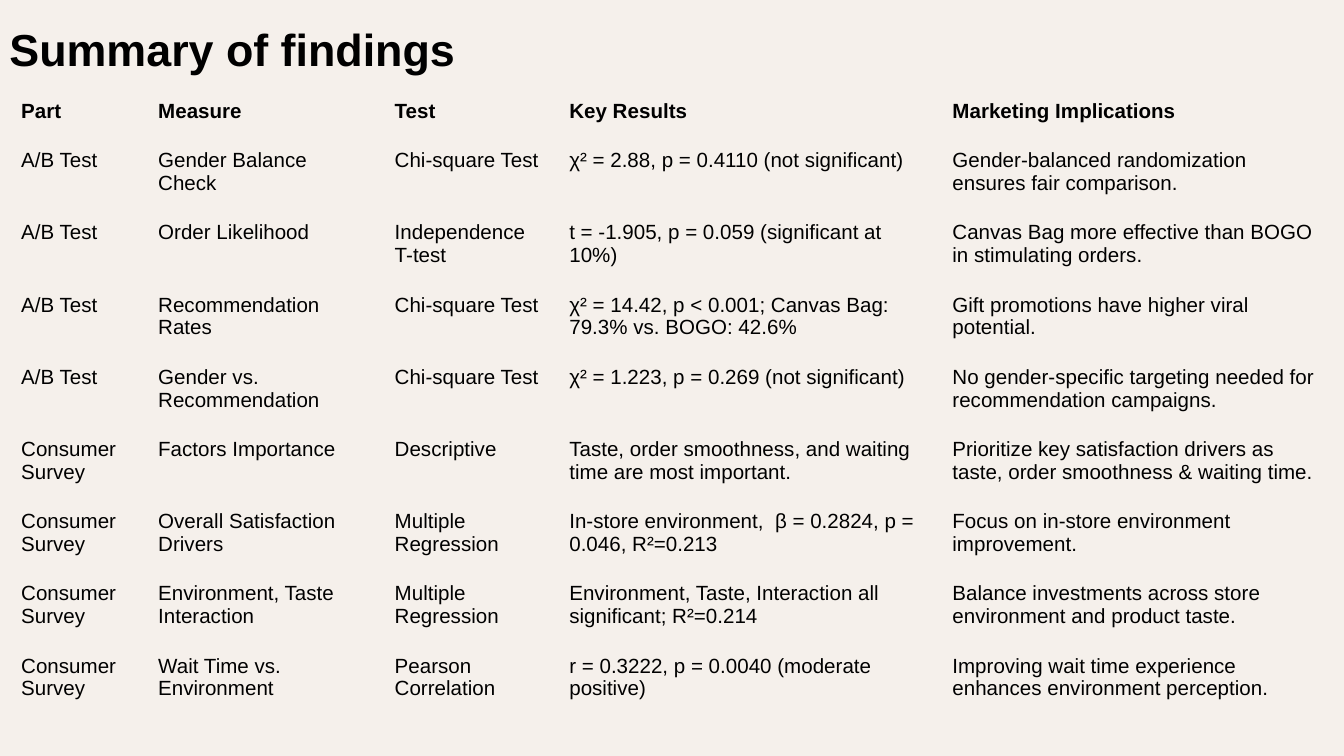
from pptx import Presentation, util as u
from pptx.dml import color
from pptx.enum import text

INK, PAPER = "000000", "F5F0EB"
NO_GRID = "{2D5ABB26-0587-4C30-8999-92F81FD0307C}"
COLUMN_WIDTHS = [2.59, 4.47, 3.3, 7.24, 7.49]
HEADER_HEIGHT, ROW_HEIGHT = 0.66, 1.24
FINDINGS = [
    ["Part", "Measure", "Test", "Key Results", "Marketing Implications"],
    ["A/B Test", "Gender Balance Check", "Chi-square Test",
     "χ² = 2.88, p = 0.4110 (not significant)",
     "Gender-balanced randomization ensures fair comparison."],
    ["A/B Test", "Order Likelihood", "Independence T-test",
     "t = -1.905, p = 0.059 (significant at 10%)",
     "Canvas Bag more effective than BOGO in stimulating orders."],
    ["A/B Test", "Recommendation Rates", "Chi-square Test",
     "χ² = 14.42, p < 0.001; Canvas Bag: 79.3% vs. BOGO: 42.6%",
     "Gift promotions have higher viral potential."],
    ["A/B Test", "Gender vs. Recommendation", "Chi-square Test",
     "χ² = 1.223, p = 0.269 (not significant)",
     "No gender-specific targeting needed for recommendation campaigns."],
    ["Consumer Survey", "Factors Importance", "Descriptive",
     "Taste, order smoothness, and waiting time are most important.",
     "Prioritize key satisfaction drivers as taste, order smoothness & waiting time."],
    ["Consumer Survey", "Overall Satisfaction Drivers", "Multiple Regression",
     "In-store environment,  β = 0.2824, p = 0.046, R²=0.213",
     "Focus on in-store environment improvement."],
    ["Consumer Survey", "Environment, Taste Interaction", "Multiple Regression",
     "Environment, Taste, Interaction all significant; R²=0.214",
     "Balance investments across store environment and product taste."],
    ["Consumer Survey", "Wait Time vs. Environment", "Pearson Correlation",
     "r = 0.3222, p = 0.0040 (moderate positive)",
     "Improving wait time experience enhances environment perception."],
]


def rgb(value):
    return color.RGBColor.from_string(value)


def assign(target, values):
    for name, value in values.items():
        setattr(target, name, value)


class SummarySlide:
    """Holds the text style and the current slide, and adds elements to it."""

    def __init__(self, deck, font="Arial"):
        self.font = font
        self.page = deck.slides.add_slide(deck.slide_layouts[6])
        fill = self.page.background.fill
        fill.solid()
        fill.fore_color.rgb = rgb(PAPER)

    def add_words(self, para, words, size, bold=False, spacing=1.0):
        para.line_spacing = spacing
        span = para.add_run()
        span.text = words
        assign(span.font, {"name": self.font, "size": u.Pt(size), "bold": bold})
        span.font.color.rgb = rgb(INK)

    def title(self, words, left, top, width, height):
        box = self.page.shapes.add_textbox(*map(u.Cm, (left, top, width, height)))
        assign(box.text_frame, {
            "word_wrap": True, "vertical_anchor": text.MSO_ANCHOR.MIDDLE,
            "margin_left": u.Cm(0.18), "margin_right": u.Cm(0.18),
            "margin_top": u.Cm(0.1), "margin_bottom": u.Cm(0.1)})
        self.add_words(box.text_frame.paragraphs[0], words, 24, True, 1.15)

    def table(self, rows, left, top, widths):
        heights = [HEADER_HEIGHT] + [ROW_HEIGHT] * (len(rows) - 1)
        frame = self.page.shapes.add_table(
            len(rows), len(widths), u.Cm(left), u.Cm(top),
            u.Cm(sum(widths)), u.Cm(sum(heights)))
        grid = frame.table
        assign(grid, {"first_row": False, "horz_banding": False})
        grid._tbl.tblPr[0].text = NO_GRID
        for column, width in zip(grid.columns, widths):
            column.width = u.Cm(width)
        for row, height in zip(grid.rows, heights):
            row.height = u.Cm(height)
        sides = ("left", "right", "top", "bottom")
        margins = {f"margin_{side}": u.Cm(0.25) for side in sides}
        for index, row in enumerate(rows):
            header = index == 0
            for cell, words in zip(grid.rows[index].cells, row):
                cell.fill.background()
                assign(cell, margins)
                self.add_words(cell.text_frame.paragraphs[0], words, 11, header,
                               1.15 if header else 1.0)


def main():
    deck = Presentation()
    assign(deck, {"slide_width": u.Cm(25.4), "slide_height": u.Cm(14.29)})
    summary = SummarySlide(deck)
    summary.table(FINDINGS, 0.15, 1.57, COLUMN_WIDTHS)
    summary.title("Summary of findings", 0, 0.05, 23.83, 1.57)
    deck.save("out.pptx")


if __name__ == "__main__":
    main()
